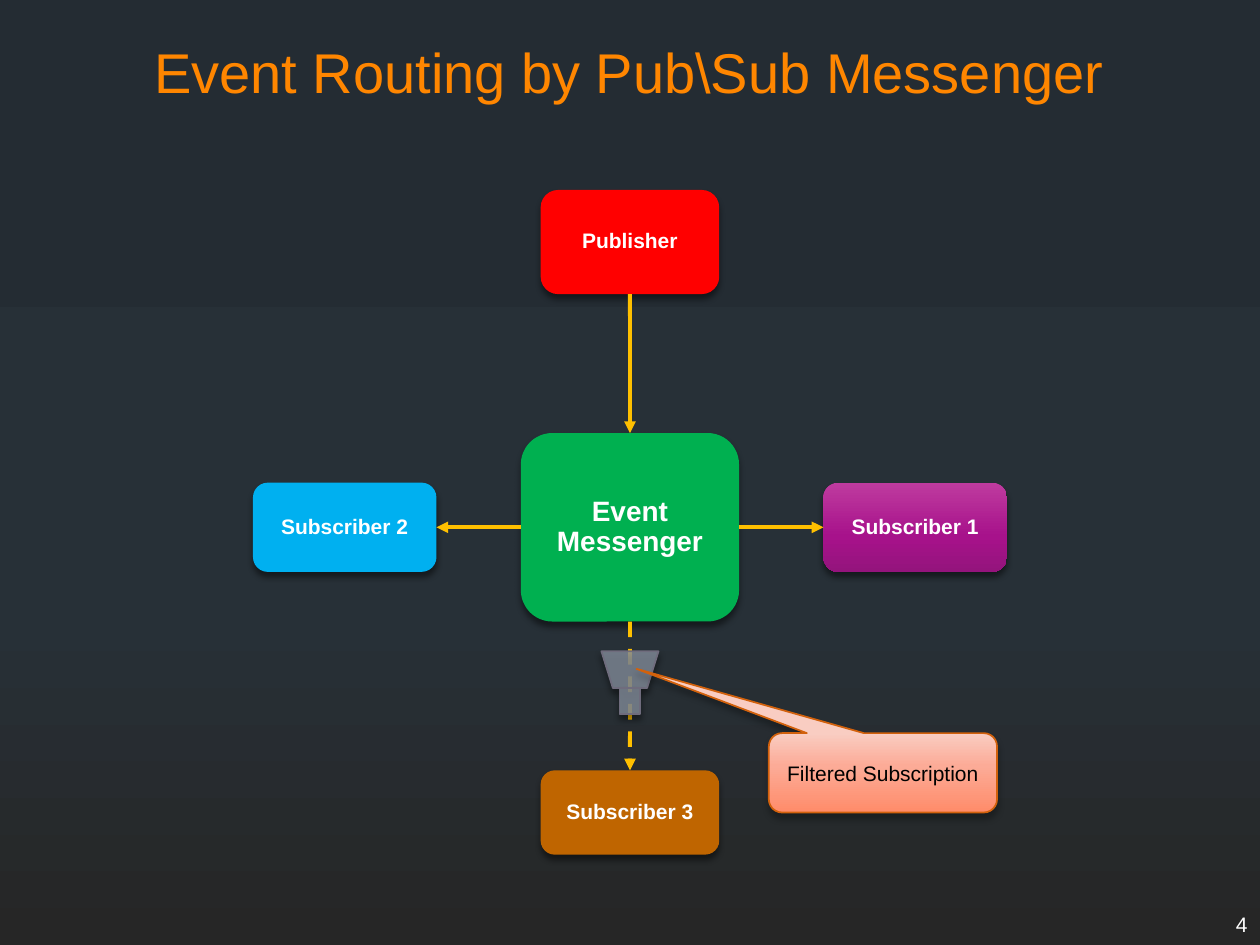
from lxml.etree import SubElement
from pptx import Presentation
from pptx.dml.color import RGBColor
from pptx.enum.dml import MSO_LINE
from pptx.enum.shapes import MSO_CONNECTOR, MSO_SHAPE
from pptx.enum.text import MSO_ANCHOR, MSO_AUTO_SIZE, PP_ALIGN
from pptx.oxml.ns import qn
from pptx.util import Cm, Pt

TOP, LEFT, BOTTOM, RIGHT = range(4)


def rgb(value):
    return RGBColor.from_string(value)


def set_gradient(fill, element, stops):
    fill.gradient()
    fill.gradient_angle = 270
    gs_list = element.find(".//" + qn("a:gsLst"))
    for gs in list(gs_list):
        gs_list.remove(gs)
    for pos, color in stops:
        gs = SubElement(gs_list, qn("a:gs"), pos=str(pos * 1000))
        SubElement(gs, qn("a:srgbClr"), val=color)


class Deck:
    font = "Arial"
    text_color = "FFFFFF"
    accent = "FFC000"

    def __init__(self):
        self.prs = Presentation()
        self.prs.slide_width = Cm(25.4)
        self.prs.slide_height = Cm(19.05)

    def add_slide(self, stops):
        self.s = self.prs.slides.add_slide(self.prs.slide_layouts[5])
        set_gradient(self.s.background.fill, self.s.element, stops)

    def add_text(self, sp, text, size, color, bold=False, align=PP_ALIGN.CENTER,
                 margin=None, spacing=None):
        tf = sp.text_frame
        tf.word_wrap = True
        tf.auto_size = MSO_AUTO_SIZE.NONE
        tf.vertical_anchor = MSO_ANCHOR.MIDDLE
        if margin is not None:
            tf.margin_left = tf.margin_right = Cm(margin)
            tf.margin_top = tf.margin_bottom = Cm(margin)
        p = tf.paragraphs[0]
        p.alignment = align
        p.line_spacing = spacing
        r = p.add_run()
        r.text = text
        r.font.name = self.font
        r.font.size = Pt(size)
        r.font.bold = bold
        r.font.color.rgb = rgb(color)

    def title(self, text, x, y, w, h):
        sp = self.s.shapes.title
        sp.left, sp.top, sp.width, sp.height = Cm(x), Cm(y), Cm(w), Cm(h)
        self.add_text(sp, text, 32, "FF8600")

    def number(self, text, x, y, w, h):
        sp = self.s.shapes.add_textbox(Cm(x), Cm(y), Cm(w), Cm(h))
        self.add_text(sp, text, 12, self.text_color, align=PP_ALIGN.RIGHT)

    def shape(self, kind, cx, cy, w, h, fill, line=None, alpha=None, shadow=48):
        sp = self.s.shapes.add_shape(kind, Cm(cx - w / 2), Cm(cy - h / 2), Cm(w), Cm(h))
        if isinstance(fill, str):
            sp.fill.solid()
            sp.fill.fore_color.rgb = rgb(fill)
        else:
            set_gradient(sp.fill, sp.element.spPr, fill)
        if alpha:
            color = sp.element.spPr.find(qn("a:solidFill"))[0]
            SubElement(color, qn("a:alpha"), val=str(alpha * 1000))
        if line:
            sp.line.color.rgb = rgb(line)
            sp.line.width = Pt(1)
        else:
            sp.line.fill.background()
        self.cast_shadow(sp, shadow)
        return sp

    def cast_shadow(self, sp, alpha):
        sp.shadow.inherit = False
        effects = sp.element.spPr.find(qn("a:effectLst"))
        outer = SubElement(effects, qn("a:outerShdw"), blurRad=str(int(Pt(3.8))),
                           dist=str(int(Pt(3))), dir="5400000", rotWithShape="0")
        color = SubElement(outer, qn("a:srgbClr"), val="000000")
        SubElement(color, qn("a:alpha"), val=str(alpha * 1000))

    def node(self, text, cx, cy, w, h, fill, size=12, margin=0.18):
        sp = self.shape(MSO_SHAPE.ROUNDED_RECTANGLE, cx, cy, w, h, fill)
        self.add_text(sp, text, size, self.text_color, True, margin=margin, spacing=0.9)
        return sp

    def callout(self, text, cx, cy, w, h, tip, fill, line):
        sp = self.shape(MSO_SHAPE.ROUNDED_RECTANGULAR_CALLOUT, cx, cy, w, h,
                        fill, line, shadow=28)
        sp.adjustments[0], sp.adjustments[1] = tip
        self.add_text(sp, text, 12, "000000")

    def arrow(self, start, start_side, end, end_side, dashed=False):
        cn = self.s.shapes.add_connector(MSO_CONNECTOR.STRAIGHT, 0, 0, 0, 0)
        cn.begin_connect(start, start_side)
        cn.end_connect(end, end_side)
        cn.line.color.rgb = rgb(self.accent)
        cn.line.width = Pt(2.25)
        if dashed:
            cn.line.dash_style = MSO_LINE.DASH
        sp_pr = cn.element.spPr
        SubElement(sp_pr.find(qn("a:ln")), qn("a:tailEnd"), type="triangle")
        SubElement(sp_pr, qn("a:effectLst"))


def main():
    deck = Deck()
    deck.add_slide([(0, "242C33"), (65, "273037"), (100, "262626")])
    deck.title("Event Routing by Pub\\Sub Messenger", 0.08, 0.53, 25.22, 1.8)

    cx, cy, reach = 12.7, 10.63, 5.75
    messenger = deck.node("Event Messenger", cx, cy, 4.4, 3.8, "00B050", 16, 0.3)
    publisher = deck.node("Publisher", cx, 4.88, 3.6, 2.1, "FF0000")
    purple = [(0, "BF3B9F"), (60, "A7128B"), (100, "94147C")]
    subscriber_1 = deck.node("Subscriber 1", cx + reach, cy, 3.7, 1.8, purple)
    subscriber_2 = deck.node("Subscriber 2", cx - reach, cy, 3.7, 1.8, "00B0F0")
    subscriber_3 = deck.node("Subscriber 3", cx, 16.38, 3.6, 1.7, "BF6500")

    deck.arrow(publisher, BOTTOM, messenger, TOP)
    deck.arrow(messenger, RIGHT, subscriber_1, LEFT)
    deck.arrow(messenger, LEFT, subscriber_2, RIGHT)
    deck.arrow(messenger, BOTTOM, subscriber_3, TOP, dashed=True)

    for kind, y, w, h in [(MSO_SHAPE.FLOWCHART_MANUAL_OPERATION, 13.5, 1.15, 0.74),
                          (MSO_SHAPE.RECTANGLE, 14.13, 0.42, 0.53)]:
        deck.shape(kind, cx, y, w, h, "838D9B", "6F6C7D", alpha=80)
    deck.callout("Filtered Subscription", 17.8, 15.58, 4.6, 1.6, (-1.08, -1.31),
                 [(0, "F9CDC2"), (41, "FCAB97"), (100, "FF8C6A")], "D2610C")

    deck.number("4", 22.78, 18.21, 2.62, 0.84)
    deck.prs.save("out.pptx")


if __name__ == "__main__":
    main()
